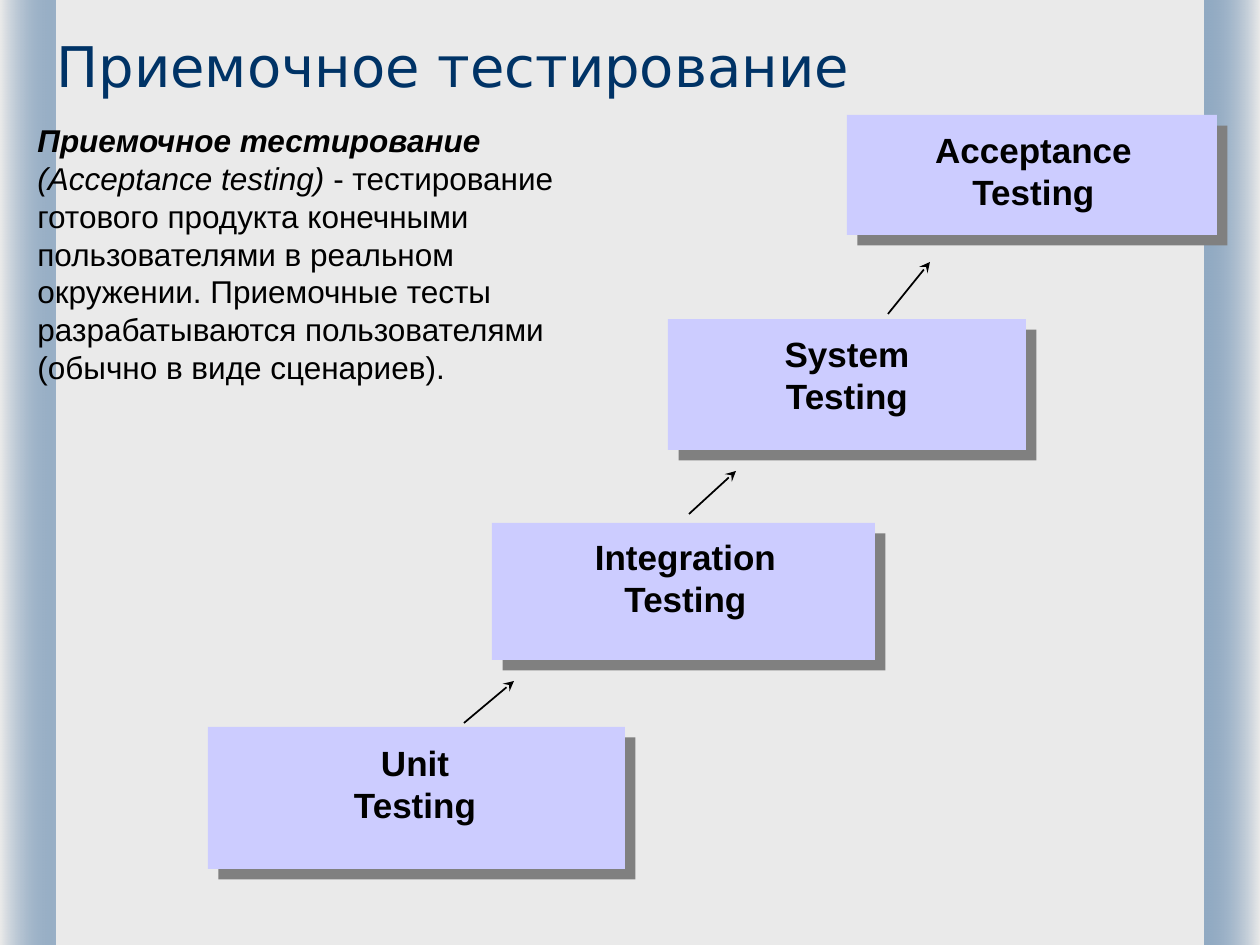
from typing import NamedTuple

from lxml.etree import SubElement
from pptx import Presentation
from pptx.dml.color import RGBColor
from pptx.enum.shapes import MSO_CONNECTOR, MSO_SHAPE
from pptx.enum.text import MSO_ANCHOR, PP_ALIGN
from pptx.oxml.ns import qn
from pptx.util import Emu, Pt

SCALE = 914400 / 126
WIDE, HIGH, BAR = 1260, 945, 55

PAPER = RGBColor(0xEA, 0xEA, 0xEA)
BLUE = RGBColor(0x33, 0x66, 0x99)
NAVY = RGBColor(0x00, 0x33, 0x66)
LILAC = RGBColor(0xCC, 0xCC, 0xFF)
BLACK = RGBColor(0x00, 0x00, 0x00)

TITLE = {"name": "DejaVu Sans", "size": Pt(32)}
BODY = {"name": "Arial", "size": Pt(18)}
LABEL = {"name": "Arial", "size": Pt(20), "bold": True}


class Box(NamedTuple):
    left: int
    top: int
    width: int
    height: int


class Step(NamedTuple):
    name: str
    outer: Box
    inner: Box


class Arrow(NamedTuple):
    x1: int
    y1: int
    x2: int
    y2: int


STEPS = [
    Step("Unit", Box(208, 727, 417, 142), Box(306, 735, 218, 127)),
    Step("Integration", Box(492, 523, 383, 137), Box(547, 529, 277, 122)),
    Step("System", Box(668, 319, 358, 131), Box(748, 326, 198, 117)),
    Step("Acceptance", Box(847, 115, 370, 120), Box(888, 122, 291, 107)),
]
ARROWS = [
    Arrow(464, 723, 514, 681),
    Arrow(689, 514, 736, 471),
    Arrow(888, 314, 930, 262),
]
NOTE = [
    ("Приемочное тестирование ", {"bold": True, "italic": True}),
    ("(Acceptance testing) ", {"italic": True}),
    ("- тестирование готового продукта конечными пользователями в реальном "
     "окружении. Приемочные тесты разрабатываются пользователями "
     "(обычно в виде сценариев).", {}),
]


def px(*vals: int) -> list[Emu]:
    return [Emu(round(v * SCALE)) for v in vals]


def style(font, form: dict, color: RGBColor = BLACK) -> None:
    for key, val in form.items():
        setattr(font, key, val)
    font.color.rgb = color


def rect(slide, box: Box):
    shape = slide.shapes.add_shape(MSO_SHAPE.RECTANGLE, *px(*box))
    shape.shadow.inherit = False
    shape.line.fill.background()
    return shape


def bar(slide, left: int, angle: int, alpha: int) -> None:
    shape = rect(slide, Box(left, 0, BAR, HIGH))
    shape.fill.gradient()
    shape.fill.gradient_angle = angle
    for stop, color in zip(shape.fill.gradient_stops, (BLUE, PAPER)):
        stop.color.rgb = color
    first = next(shape._element.spPr.iter(qn("a:srgbClr")))
    SubElement(first, qn("a:alpha"), val=str(alpha * 1000))


def text_box(slide, box: Box, anchor: MSO_ANCHOR):
    frame = slide.shapes.add_textbox(*px(*box)).text_frame
    frame.word_wrap = True
    frame.vertical_anchor = anchor
    return frame.paragraphs[0]


def draw_step(slide, step: Step) -> None:
    outer, inner = rect(slide, step.outer), rect(slide, step.inner)
    for shape in (outer, inner):
        shape.fill.solid()
        shape.fill.fore_color.rgb = LILAC
    # Hard grey shadow
    effect = outer._element.spPr.find(qn("a:effectLst"))
    shade = SubElement(effect, qn("a:outerShdw"), dist=str(Pt(8.5)),
                       dir="2700000", algn="ctr", rotWithShape="0")
    SubElement(shade, qn("a:srgbClr"), val="808080")
    # Label
    frame = inner.text_frame
    frame.word_wrap = True
    frame.vertical_anchor = MSO_ANCHOR.TOP
    frame.text = f"{step.name}\nTesting"
    for para in frame.paragraphs:
        para.alignment = PP_ALIGN.CENTER
        style(para.font, LABEL)


def draw_arrow(slide, arrow: Arrow) -> None:
    link = slide.shapes.add_connector(MSO_CONNECTOR.STRAIGHT, *px(*arrow))
    link.line.color.rgb = BLACK
    link.line.width = Pt(1)
    SubElement(link.line._get_or_add_ln(), qn("a:tailEnd"), type="stealth")
    SubElement(link._element.spPr, qn("a:effectLst"))


def main() -> None:
    deck = Presentation()
    deck.slide_width, deck.slide_height = px(WIDE, HIGH)
    slide = deck.slides.add_slide(deck.slide_layouts[6])
    back = slide.background.fill
    back.solid()
    back.fore_color.rgb = PAPER

    # Side bars, fading outwards
    bar(slide, 0, 180, 43)
    bar(slide, WIDE - BAR, 0, 48)

    # Title
    para = text_box(slide, Box(44, 24, 1201, 81), MSO_ANCHOR.BOTTOM)
    para.text = "Приемочное тестирование"
    style(para.font, TITLE, NAVY)

    # Staircase of test levels
    for arrow in ARROWS:
        draw_arrow(slide, arrow)
    for step in STEPS:
        draw_step(slide, step)

    # Definition
    para = text_box(slide, Box(25, 115, 586, 277), MSO_ANCHOR.TOP)
    for text, form in NOTE:
        run = para.add_run()
        run.text = text
        style(run.font, BODY | form)

    deck.save("out.pptx")


if __name__ == "__main__":
    main()
